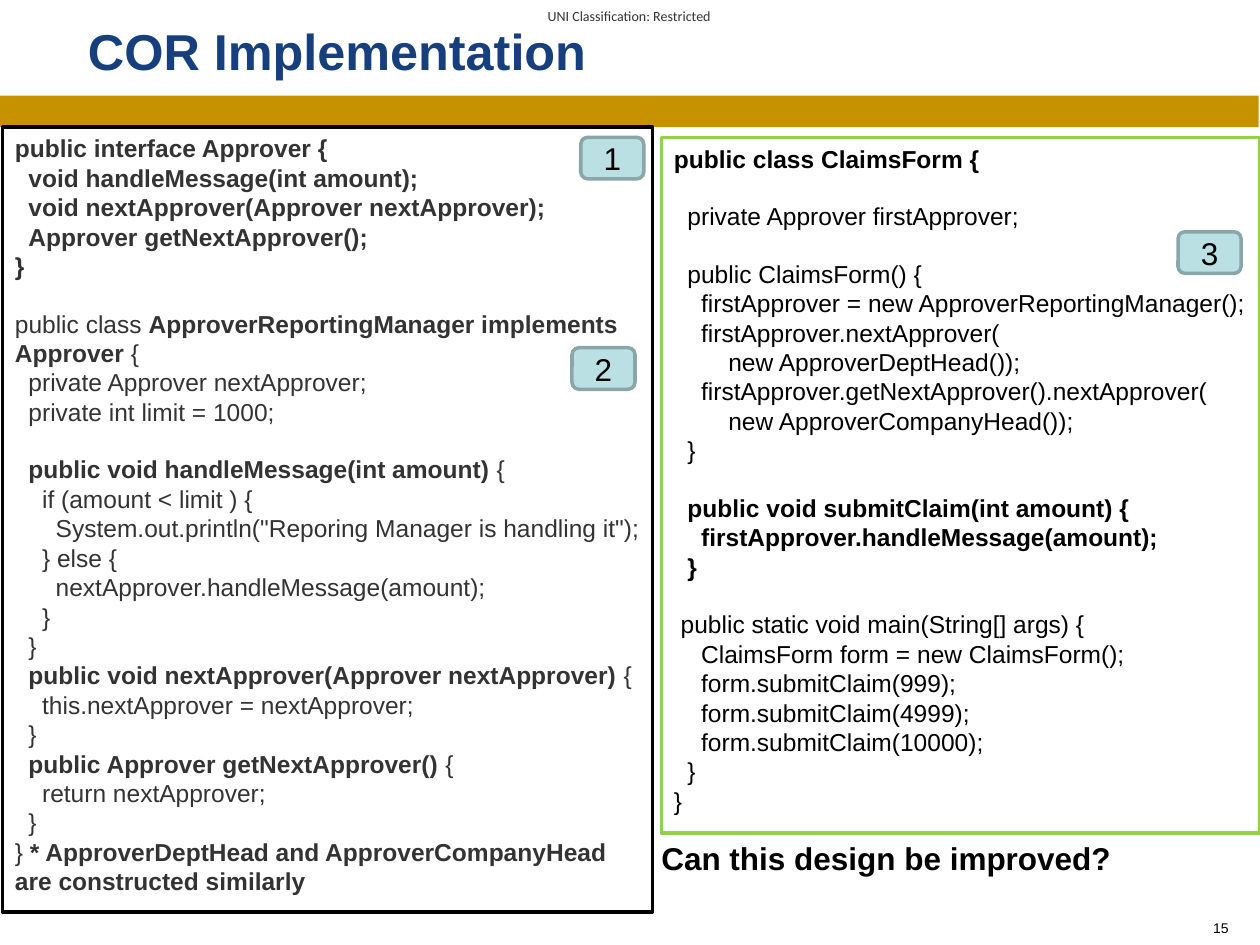
from pptx import Presentation
from pptx.dml.color import RGBColor
from pptx.enum.shapes import MSO_SHAPE as Shape
from pptx.enum.text import MSO_ANCHOR as Anchor, PP_ALIGN as Align
from pptx.util import Inches, Pt

# The page is a grid of 100 columns by 75 rows
WIDTH, HEIGHT = Inches(10), Inches(7.5)
COLUMN, ROW = WIDTH / 100, HEIGHT / 75

CODE_SIZE = 14
LINE_HEIGHT = 1.15 * CODE_SIZE
SPACE_WIDTH = 3.89  # points, one blank in the code font

# A bar switches bold on and off; leading blanks set the indent
APPROVER_CODE = """\
|public interface Approver {|
  |void handleMessage(int amount);|
  |void nextApprover(Approver nextApprover);|
  |Approver getNextApprover();|
|}|

public class |ApproverReportingManager implements Approver |{
  private Approver nextApprover;
  private int limit = 1000;

  |public void handleMessage(int amount) |{
    if (amount < limit ) {
      System.out.println("Reporing Manager is handling it");
    } else {
      nextApprover.handleMessage(amount);
    }
  }
  |public void nextApprover(Approver nextApprover) |{
    this.nextApprover = nextApprover;
  }
  |public Approver getNextApprover() |{
    return nextApprover;
  }
} |* ApproverDeptHead and ApproverCompanyHead are constructed similarly|"""

CLAIMS_CODE = """\
|public class ClaimsForm {|

  private Approver firstApprover;

  public ClaimsForm() {
    firstApprover = new ApproverReportingManager();
    firstApprover.nextApprover(
        new ApproverDeptHead());
    firstApprover.getNextApprover().nextApprover(
        new ApproverCompanyHead());
  }

  |public void submitClaim(int amount) {|
    |firstApprover.handleMessage(amount);|
  |}|

 public static void main(String[] args) {
    ClaimsForm form = new ClaimsForm();
    form.submitClaim(999);
    form.submitClaim(4999);
    form.submitClaim(10000);
  }
}"""


def color(value):
    return RGBColor.from_string(value)


def place(left, top, width, height):
    return (round(left * COLUMN), round(top * ROW),
            round(width * COLUMN), round(height * ROW))


def add_span(para, text, size, ink, bold=False, font="Arial"):
    span = para.add_run()
    span.text = text
    span.font.size, span.font.name, span.font.bold = Pt(size), font, bold
    span.font.color.rgb = color(ink)


def add_block(page, kind, area, fill=None, line=None):
    block = page.shapes.add_shape(kind, *place(*area))
    block.shadow.inherit = False
    if fill:
        block.fill.solid()
        block.fill.fore_color.rgb = color(fill)
    else:
        block.fill.background()
    if line:
        block.line.color.rgb = color(line)
        block.line.width = Pt(2)
    else:
        block.line.fill.background()
    return block


def add_label(page, area, text, size, ink="000000", bold=False, font="Arial",
              align=Align.LEFT, anchor=Anchor.TOP, wrap=True, inset=None):
    box = page.shapes.add_textbox(*place(*area))
    frame = box.text_frame
    frame.word_wrap, frame.vertical_anchor = wrap, anchor
    if inset is not None:
        frame.margin_left = frame.margin_right = inset
        frame.margin_top = frame.margin_bottom = inset
    para = frame.paragraphs[0]
    para.alignment = align
    add_span(para, text, size, ink, bold, font)


def add_header(page):
    add_block(page, Shape.RECTANGLE, (-0.1, 7.6, 100, 2.5), fill="C69200")
    add_label(page, (41.8, 0, 16.3, 2.5), "UNI Classification: Restricted", 8,
              "333333", font="Calibri", align=Align.CENTER,
              anchor=Anchor.MIDDLE, wrap=False, inset=0)
    add_label(page, (6, 1, 84.7, 6), "COR Implementation", 28.8, "173F7E",
              bold=True, anchor=Anchor.MIDDLE)


def add_code_panel(page, area, code, ink, line, fill=None):
    panel = add_block(page, Shape.RECTANGLE, area, fill, line)
    frame = panel.text_frame
    frame.word_wrap, frame.vertical_anchor = True, Anchor.TOP
    para, gap = frame.paragraphs[0], 0
    for number, source in enumerate(code.split("\n")):
        if not source:
            gap += LINE_HEIGHT
            continue
        if number:
            para = frame.add_paragraph()
        para.alignment = Align.LEFT
        para.space_before, gap = Pt(gap), 0
        text = source.lstrip()
        indent = Pt((len(source) - len(text)) * SPACE_WIDTH)
        para._p.get_or_add_pPr().set("marL", str(indent))
        for index, part in enumerate(text.split("|")):
            if part:
                add_span(para, part, CODE_SIZE, ink, bold=index % 2 == 1)


def add_badge(page, left, top, number):
    badge = add_block(page, Shape.FLOWCHART_ALTERNATE_PROCESS,
                      (left, top, 5, 3.3), "BBE0E3", "8AA6A8")
    badge.text_frame.vertical_anchor = Anchor.MIDDLE
    para = badge.text_frame.paragraphs[0]
    para.alignment = Align.CENTER
    add_span(para, str(number), 18, "000000")


def add_footer(page):
    add_label(page, (51.5, 66.1, 38.1, 4), "Can this design be improved?", 18,
              bold=True, wrap=False)
    add_label(page, (84.3, 72.5, 14.2, 2.5), "15", 8, align=Align.RIGHT)


def main():
    deck = Presentation()
    deck.slide_width, deck.slide_height = WIDTH, HEIGHT
    page = deck.slides.add_slide(deck.slide_layouts[6])

    add_header(page)
    # Handlers on the left, client on the right
    add_code_panel(page, (0.2, 10.1, 51.6, 62.3), APPROVER_CODE,
                   "333333", "000000")
    add_code_panel(page, (52.5, 10.9, 47.5, 55.2), CLAIMS_CODE,
                   "000000", "92D050", "FFFFFF")
    # Reading order
    badges = [(46.1, 10.9), (45.4, 27.6), (93.5, 18.4)]
    for number, (left, top) in enumerate(badges, start=1):
        add_badge(page, left, top, number)
    add_footer(page)

    deck.save("out.pptx")


if __name__ == "__main__":
    main()
